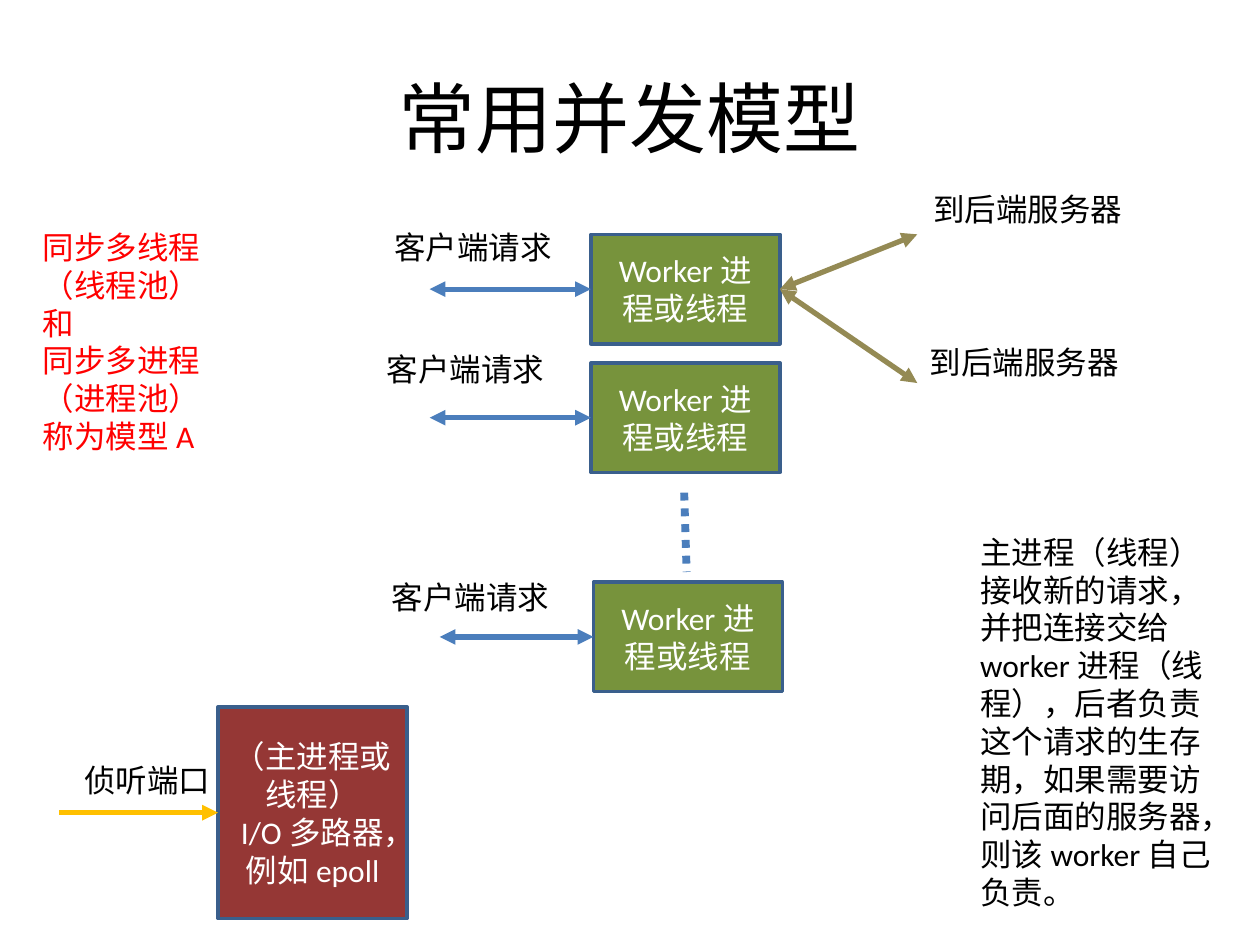
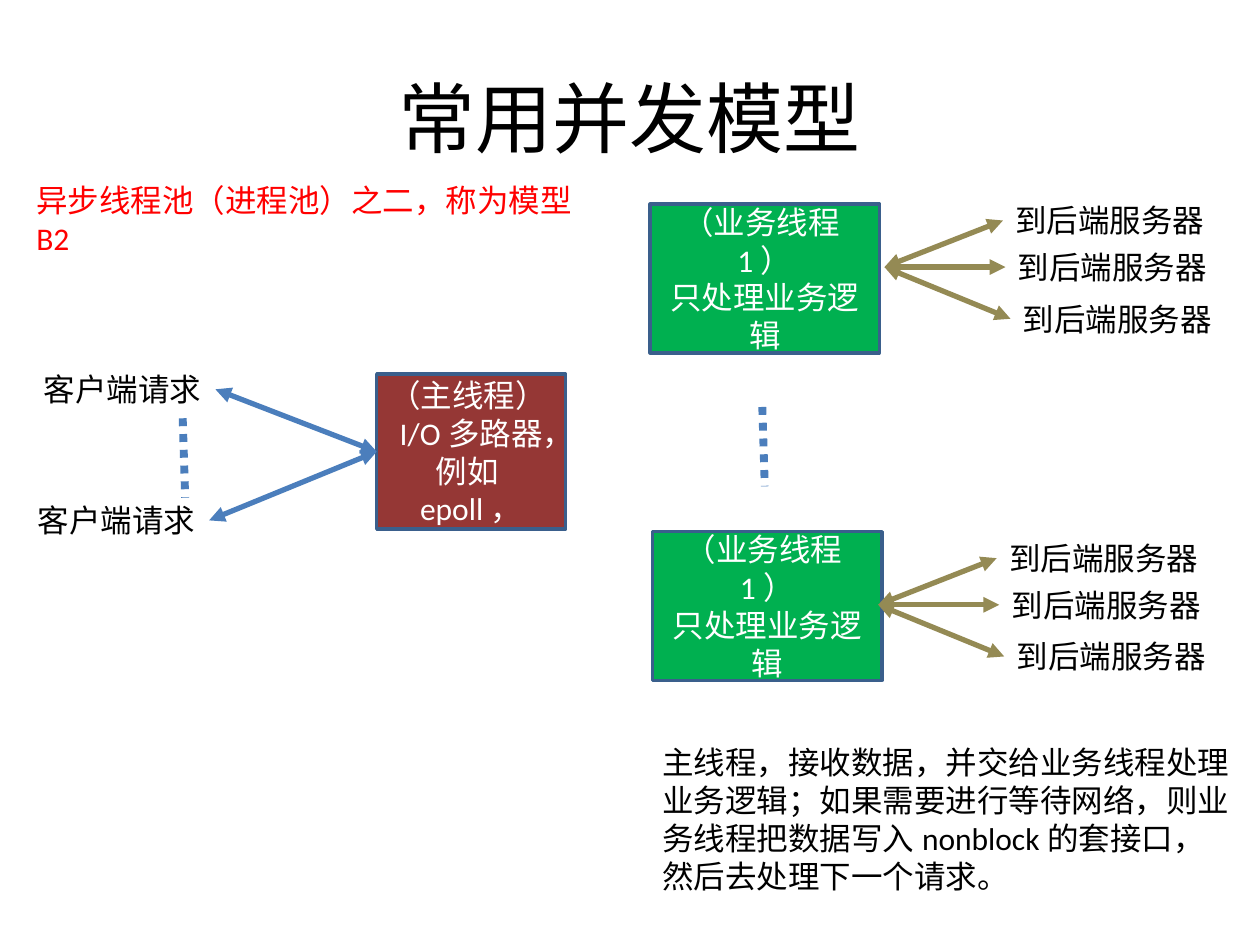
from dataclasses import dataclass

from lxml.etree import SubElement
from pptx import Presentation
from pptx.dml.color import RGBColor
from pptx.enum.dml import MSO_LINE
from pptx.enum.shapes import MSO_CONNECTOR, MSO_SHAPE
from pptx.enum.text import MSO_ANCHOR, MSO_AUTO_SIZE, PP_ALIGN
from pptx.oxml.ns import qn
from pptx.slide import Slide
from pptx.text.text import TextFrame
from pptx.util import Inches, Pt

Point = tuple[float, float]


@dataclass(frozen=True)
class Theme:
    font: str = "Calibri"
    title_size: float = 44
    body_size: float = 18
    text: str = "000000"
    inverse: str = "FFFFFF"
    accent: str = "FF0000"
    outline: str = "3A5F8C"
    main_process: str = "953735"
    worker: str = "77933C"
    business: str = "00B050"
    client: str = "4B7EBC"
    listen: str = "FFC000"
    backend: str = "948A54"
    outline_width: float = 2
    arrow_width: float = 3
    dots_width: float = 4.5


@dataclass(frozen=True)
class Box:
    left: float
    top: float
    width: float
    height: float

    @property
    def middle(self) -> float:
        return self.top + self.height / 2


@dataclass(frozen=True)
class WorkerRow:
    box: Box
    arrow_start: float
    label: Point


THEME = Theme()
TITLE = "常用并发模型"
CLIENT_REQUEST = "客户端请求"
TO_BACKEND = "到后端服务器"
CLIENT_WIDTH = 1.46
BACKEND_WIDTH = 1.72
LABEL_HEIGHT = 0.4


def write_text(frame: TextFrame, lines: list[str], color: str, size: float,
               alignment: PP_ALIGN) -> None:
    for index, line in enumerate(lines):
        paragraph = frame.paragraphs[0] if index == 0 else frame.add_paragraph()
        paragraph.text = line
        paragraph.alignment = alignment
        paragraph.font.name = THEME.font
        paragraph.font.size = Pt(size)
        paragraph.font.color.rgb = RGBColor.from_string(color)


def add_titled_slide(presentation: Presentation) -> Slide:
    slide = presentation.slides.add_slide(presentation.slide_layouts[5])
    title = slide.shapes.title
    title.left, title.top = Inches(0.5), Inches(0.3)
    title.width, title.height = Inches(9), Inches(1.25)
    title.text_frame.vertical_anchor = MSO_ANCHOR.MIDDLE
    write_text(title.text_frame, [TITLE], THEME.text, THEME.title_size, PP_ALIGN.CENTER)
    return slide


def add_box(slide: Slide, box: Box, fill: str, lines: list[str]) -> None:
    shape = slide.shapes.add_shape(
        MSO_SHAPE.RECTANGLE, Inches(box.left), Inches(box.top),
        Inches(box.width), Inches(box.height))
    shape.shadow.inherit = False
    shape.fill.solid()
    shape.fill.fore_color.rgb = RGBColor.from_string(fill)
    shape.line.color.rgb = RGBColor.from_string(THEME.outline)
    shape.line.width = Pt(THEME.outline_width)
    shape.text_frame.vertical_anchor = MSO_ANCHOR.MIDDLE
    write_text(shape.text_frame, lines, THEME.inverse, THEME.body_size, PP_ALIGN.CENTER)


def add_note(slide: Slide, box: Box, lines: list[str], color: str = THEME.text,
             wrap: bool = True) -> None:
    shape = slide.shapes.add_textbox(
        Inches(box.left), Inches(box.top), Inches(box.width), Inches(box.height))
    shape.text_frame.word_wrap = wrap
    shape.text_frame.auto_size = MSO_AUTO_SIZE.SHAPE_TO_FIT_TEXT
    write_text(shape.text_frame, lines, color, THEME.body_size, PP_ALIGN.LEFT)


def add_label(slide: Slide, position: Point, width: float, text: str) -> None:
    add_note(slide, Box(*position, width, LABEL_HEIGHT), [text], wrap=False)


def add_line(slide: Slide, start: Point, end: Point, color: str,
             ends: tuple[str, ...] = ("headEnd", "tailEnd"), dotted: bool = False) -> None:
    connector = slide.shapes.add_connector(
        MSO_CONNECTOR.STRAIGHT, *(Inches(value) for value in (*start, *end)))
    line = connector.line
    line.color.rgb = RGBColor.from_string(color)
    line.width = Pt(THEME.dots_width if dotted else THEME.arrow_width)
    if dotted:
        line.dash_style = MSO_LINE.ROUND_DOT
    properties = connector._element.spPr
    outline = properties.find(qn("a:ln"))
    for end_name in ends:
        SubElement(outline, qn(f"a:{end_name}"), type="triangle")
    SubElement(properties, qn("a:effectLst"))


def add_dots(slide: Slide, start: Point) -> None:
    """Nearly vertical dotted line standing for further items."""
    end = (start[0] + 0.02, start[1] + 0.63)
    add_line(slide, start, end, THEME.client, ends=(), dotted=True)


def add_backend_fan(slide: Slide, hub: Point) -> None:
    """Three arrows from one point, each ending at its label."""
    for offset_x, offset_y in ((0.94, -0.37), (0.96, 0), (1.0, 0.41)):
        end = (hub[0] + offset_x, hub[1] + offset_y)
        add_line(slide, hub, end, THEME.backend)
        add_label(slide, (end[0], end[1] - LABEL_HEIGHT / 2), BACKEND_WIDTH, TO_BACKEND)


def build_synchronous_model(presentation: Presentation) -> None:
    slide = add_titled_slide(presentation)

    # Main process and its listening port
    main = Box(1.73, 5.61, 1.5, 1.68)
    add_box(slide, main, THEME.main_process, ["（主进程或线程）", "I/O多路器，例如epoll"])
    add_line(slide, (0.47, main.middle), (main.left, main.middle), THEME.listen,
             ends=("tailEnd",))
    add_label(slide, (0.57, 5.99), 1.21, "侦听端口")

    # Workers with their client connections
    rows = [
        WorkerRow(Box(4.69, 1.86, 1.5, 0.87), 3.41, (3.03, 1.76)),
        WorkerRow(Box(4.69, 2.88, 1.5, 0.87), 3.41, (2.97, 2.73)),
        WorkerRow(Box(4.71, 4.62, 1.5, 0.87), 3.49, (3.01, 4.54)),
    ]
    for row in rows:
        middle = row.box.middle
        add_box(slide, row.box, THEME.worker, ["Worker进程或线程"])
        add_line(slide, (row.arrow_start, middle), (row.box.left, middle), THEME.client)
        add_label(slide, row.label, CLIENT_WIDTH, CLIENT_REQUEST)
    add_dots(slide, (5.43, 3.91))

    # Backend connections of the first worker
    first = rows[0].box
    hub = (first.left + first.width, first.middle)
    for end, label in (((7.28, 1.86), (7.31, 1.46)), ((7.28, 3.04), (7.28, 2.67))):
        add_line(slide, hub, end, THEME.backend)
        add_label(slide, label, BACKEND_WIDTH, TO_BACKEND)

    # Model name and explanation
    add_note(slide, Box(0.24, 1.76, 1.46, 1.92),
             ["同步多线程", "（线程池）", "和", "同步多进程", "（进程池）", "称为模型A"],
             THEME.accent, wrap=False)
    add_note(slide, Box(7.68, 4.18, 2.05, 3.13),
             ["主进程（线程）接收新的请求，并把连接交给worker进程（线程），后者负责"
              "这个请求的生存期，如果需要访问后面的服务器，则该worker自己负责。"])


def build_asynchronous_model(presentation: Presentation) -> None:
    slide = add_titled_slide(presentation)

    # Main thread and its clients
    main = Box(2.99, 2.97, 1.5, 1.23)
    add_box(slide, main, THEME.main_process, ["（主线程）I/O多路器，例如epoll，"])
    for start in ((1.71, 3.09), (1.66, 4.13)):
        add_line(slide, start, (main.left, main.middle), THEME.client)
        add_label(slide, (start[0] - CLIENT_WIDTH, start[1] - LABEL_HEIGHT / 2),
                  CLIENT_WIDTH, CLIENT_REQUEST)
    add_dots(slide, (1.45, 3.32))

    # Business threads with their backend connections
    for position, hub in (((5.16, 1.62), (7.02, 2.12)), ((5.18, 4.22), (6.97, 4.8))):
        add_box(slide, Box(*position, 1.82, 1.18), THEME.business,
                ["（业务线程1）", "只处理业务逻辑"])
        add_backend_fan(slide, hub)
    add_dots(slide, (6.05, 3.23))

    # Model name and explanation
    add_note(slide, Box(0.19, 1.39, 4.65, 0.7),
             ["异步线程池（进程池）之二，称为模型B2"], THEME.accent)
    add_note(slide, Box(5.16, 5.85, 4.7, 1.31),
             ["主线程，接收数据，并交给业务线程处理业务逻辑；如果需要进行等待网络，"
              "则业务线程把数据写入nonblock的套接口，然后去处理下一个请求。"])


def main() -> None:
    presentation = Presentation()
    presentation.slide_width, presentation.slide_height = Inches(10), Inches(7.5)
    build_synchronous_model(presentation)
    build_asynchronous_model(presentation)
    presentation.save("out.pptx")


main()
